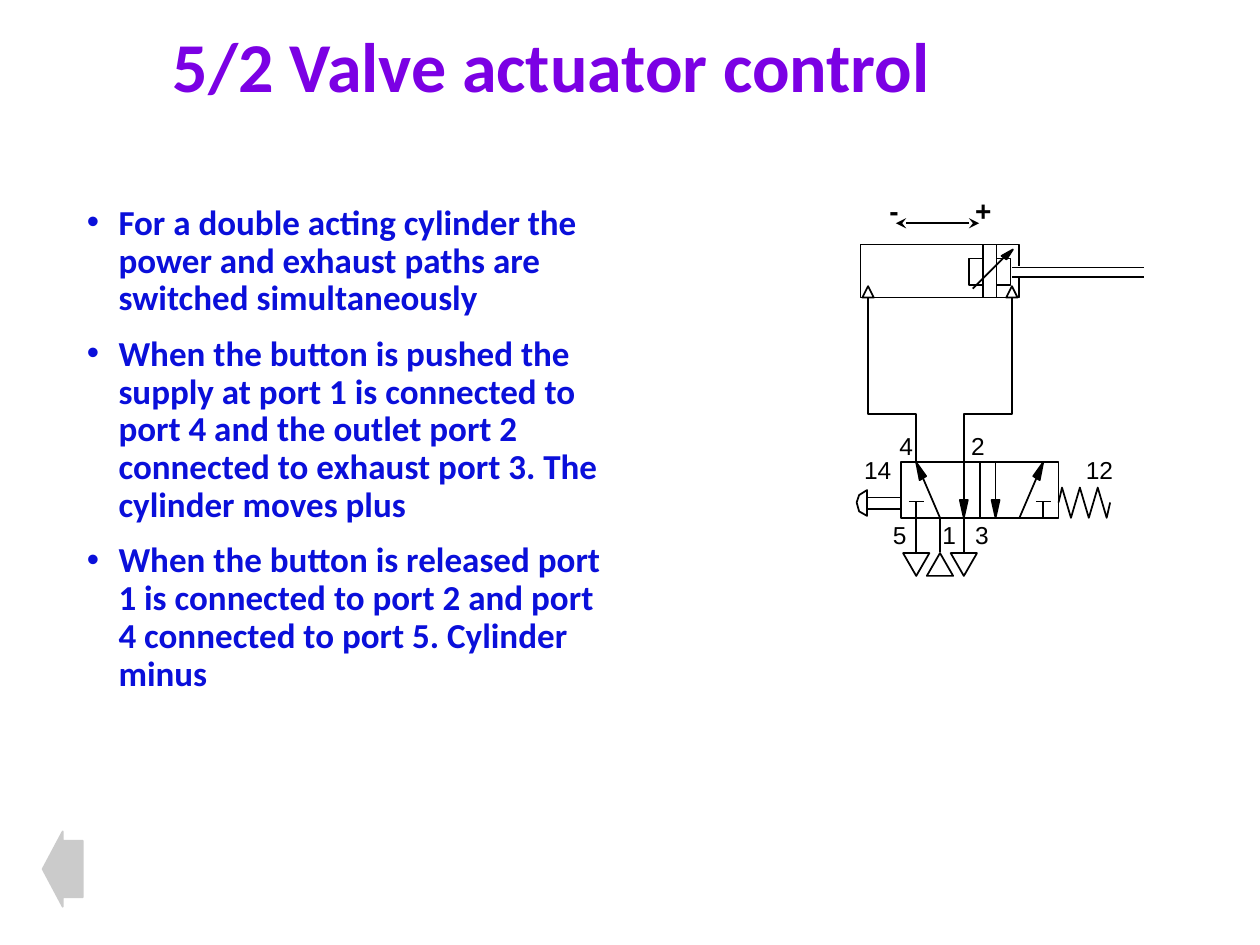
from lxml import etree
from pptx import Presentation
from pptx import util as u
from pptx.dml import color
from pptx.enum import shapes as kinds, text
from pptx.oxml import ns

COLORS = {"title": "7B00E4", "body": "0A0FDA", "ink": "000000", "back": "CBCBCB"}
TITLE = {"name": "Calibri", "size": u.Pt(40), "bold": True}
BODY = {"name": "Calibri", "size": u.Pt(20), "bold": True}
PORT = {"name": "Arial", "size": u.Pt(14), "bold": False}
SIGN = {"name": "Arial", "size": u.Pt(16), "bold": True}
POINTS = [
    "For a double acting cylinder the power and exhaust paths are switched simultaneously",
    "When the button is pushed the supply at port 1 is connected to port 4 and the outlet "
    "port 2 connected to exhaust port 3. The cylinder moves plus",
    "When the button is released port 1 is connected to port 2 and port 4 connected to "
    "port 5. Cylinder minus",
]


def rgb(key):
    """Return the named colour."""
    return color.RGBColor.from_string(COLORS[key])


def assign(target, values):
    """Set every attribute in values on the target."""
    for name, value in values.items():
        setattr(target, name, value)


def write(paragraph, words, font, ink):
    """Add one formatted run to a paragraph."""
    run = paragraph.add_run()
    run.text = words
    assign(run.font, font)
    run.font.color.rgb = rgb(ink)


def finish(outline, fill=None, ink="ink"):
    """Give a shape its line and fill and no shadow."""
    outline.shadow.inherit = False
    outline.line.color.rgb = rgb(ink)
    outline.line.width = u.Pt(1)
    if fill:
        outline.fill.solid()
        outline.fill.fore_color.rgb = rgb(fill)
    else:
        outline.fill.background()


def rule(canvas, box, start, end, arrows=()):
    """Draw a straight line between two points relative to the box."""
    ends = [u.Cm(box[i] + point[i]) for point in (start, end) for i in (0, 1)]
    line = canvas.add_connector(kinds.MSO_CONNECTOR.STRAIGHT, *ends)
    line.line.color.rgb = rgb("ink")
    line.line.width = u.Pt(1)
    properties = line.element.spPr
    for tag in arrows:
        etree.SubElement(properties.find(ns.qn("a:ln")), ns.qn(tag), type="stealth")
    etree.SubElement(properties, ns.qn("a:effectLst"))


def trace(canvas, box, points, closed=False, fill=None):
    """Draw an outline through points relative to the box."""
    route = [(u.Cm(box[0] + x), u.Cm(box[1] + y)) for x, y in points]
    builder = canvas.build_freeform(*route[0])
    builder.add_line_segments(route[1:], close=closed)
    finish(builder.convert_to_shape(), fill)


def triangle(canvas, box, center, top, width, height, turn=0):
    """Draw a port triangle centred on a line."""
    port = canvas.add_shape(
        kinds.MSO_SHAPE.ISOSCELES_TRIANGLE, u.Cm(box[0] + center - width / 2),
        u.Cm(box[1] + top), u.Cm(width), u.Cm(height))
    port.rotation = turn
    finish(port)


def label(canvas, box, words, left, top, width, height, font):
    """Place a short unwrapped label relative to the box."""
    frame = canvas.add_textbox(u.Cm(box[0] + left), u.Cm(box[1] + top),
                               u.Cm(width), u.Cm(height)).text_frame
    frame.word_wrap = False
    write(frame.paragraphs[0], words, font, "ink")


def heading(slide, box):
    """Place and format the title."""
    title = slide.shapes.title
    assign(title, dict(zip(("left", "top", "width", "height"), map(u.Cm, box))))
    assign(title.text_frame, {"vertical_anchor": text.MSO_ANCHOR.MIDDLE,
                              "auto_size": text.MSO_AUTO_SIZE.NONE, "word_wrap": True})
    line = title.text_frame.paragraphs[0]
    assign(line, {"alignment": text.PP_ALIGN.LEFT, "line_spacing": 0.9})
    write(line, "5/2 Valve actuator control", TITLE, "title")


def explanation(slide, box):
    """Write the bulleted explanation."""
    frame = slide.shapes.add_textbox(*map(u.Cm, box)).text_frame
    frame.word_wrap = True
    for index, words in enumerate(POINTS):
        point = frame.add_paragraph() if index else frame.paragraphs[0]
        layout = point._p.get_or_add_pPr()
        layout.set("marL", str(u.Cm(0.64)))
        layout.set("indent", str(u.Cm(-0.64)))
        tint = etree.SubElement(layout, ns.qn("a:buClr"))
        etree.SubElement(tint, ns.qn("a:srgbClr"), val=COLORS["body"])
        etree.SubElement(layout, ns.qn("a:buFont"), typeface="Arial")
        etree.SubElement(layout, ns.qn("a:buChar"), char="•")
        assign(point, {"line_spacing": 0.9, "space_before": u.Pt(10 if index else 0)})
        write(point, words, BODY, "body")


def cylinder(canvas, box):
    """Draw the double acting cylinder with piston, rod and ports."""
    width, height = box[2:]
    for x in (0.15, width - 0.15):
        rule(canvas, box, (x, height), (x, height + 0.35))
        triangle(canvas, box, x, 0.84, 0.23, 0.23)
    trace(canvas, box, [(width, 0.43), (width, 0), (0, 0), (0, height),
                        (width, height), (width, 0.66)])
    for y in (0.46, 0.66):
        rule(canvas, box, (width - 0.15, y), (5.71, y))
    for face, end in ((2.74, 3.02), (2.46, 2.18)):
        trace(canvas, box, [(face, 0.28), (end, 0.28), (end, 0.81), (face, 0.81)])
        rule(canvas, box, (face, 0), (face, height))
    rule(canvas, box, (2.26, 0.89), (3, 0.15))
    trace(canvas, box, [(2.84, 0.23), (2.94, 0.3), (3.07, 0.1)], True, "ink")


def pipes(canvas, box):
    """Draw the mirrored pipes from the cylinder to the valve."""
    width, height = box[2:]
    run = [(0, 0), (0, 2.34), (0.97, 2.34), (0.97, height)]
    trace(canvas, box, run)
    trace(canvas, box, [(width - x, y) for x, y in run])


def valve(canvas, box):
    """Draw the 5/2 valve with button, spring, exhausts and port numbers."""
    width, height = box[2:]
    ports = [0.31 + 0.48 * i for i in range(3)]
    trace(canvas, box, [(0, 0), (0, height), (width, height), (width, 0)], True)
    rule(canvas, box, (width / 2, 0), (width / 2, height))
    for x, turn in zip(ports, (180, 0, 180)):
        rule(canvas, box, (x, height), (x, 1.8))
        triangle(canvas, box, x, 1.83, 0.53, 0.46, turn)

    for place in (lambda x: x, lambda x: width - x):
        blocked, supply, through = map(place, ports)
        rule(canvas, box, (blocked, 0.79), (blocked, height))
        rule(canvas, box, (blocked - 0.15, 0.79), (blocked + 0.15, 0.79))
        rule(canvas, box, (supply, height), (blocked, 0))
        rule(canvas, box, (through, 0), (through, height))
        trace(canvas, box, [(through, height), (through - 0.08, 0.76),
                            (through + 0.08, 0.76)], True, "ink")
        trace(canvas, box, [(blocked, 0), (place(0.38), 0.36), (place(0.51), 0.28)],
              True, "ink")

    coils = [(width + 0.07 + 0.18 * i, (0.51, height)[i % 2]) for i in range(6)]
    trace(canvas, box, [(width, 0.81), *coils, (4.22, 0.81)])

    trace(canvas, box, [(-0.68, 0.56), (-0.84, 0.66), (-0.89, 0.81), (-0.84, 0.99),
                        (-0.68, 1.08)], True)
    for y in (0.71, 0.94):
        rule(canvas, box, (-0.68, y), (0, y))

    for number, left, top in (("1", 0.59, 1.04), ("2", 1.17, -0.76), ("4", -0.28, -0.76),
                              ("5", -0.41, 1.04), ("3", 1.25, 1.04),
                              ("14", -0.99, -0.28), ("12", 3.48, -0.28)):
        label(canvas, box, number, left, top, 0.51 + 0.28 * len(number), 0.84, PORT)


def motion(canvas, box):
    """Draw the plus and minus directions of travel."""
    rule(canvas, box, (2.06, 0.72), (0.38, 0.72), ("a:headEnd", "a:tailEnd"))
    label(canvas, box, "+", 1.73, 0, 0.84, box[3], SIGN)
    label(canvas, box, "-", 0, 0, 0.71, box[3], SIGN)


def back_arrow(slide, box):
    """Draw the grey arrow pointing back."""
    arrow = slide.shapes.add_shape(kinds.MSO_SHAPE.LEFT_ARROW, *map(u.Cm, box))
    arrow.adjustments[0] = 0.75
    arrow.adjustments[1] = 0.5
    finish(arrow, "back", "back")


def main():
    """Build and save the slide."""
    deck = Presentation()
    assign(deck, {"slide_width": u.Cm(25.4), "slide_height": u.Cm(19.05)})
    slide = deck.slides.add_slide(deck.slide_layouts[5])
    heading(slide, (3.23, 0.56, 18.97, 1.68))
    explanation(slide, (1.5, 4.01, 11, 12.5))
    circuit = slide.shapes.add_group_shape().shapes
    cylinder(circuit, (17.35, 4.93, 3.2, 1.07))
    valve(circuit, (18.16, 9.32, 3.18, 1.12))
    pipes(circuit, (17.5, 6, 2.9, 3.3))
    motion(slide.shapes.add_group_shape().shapes, (17.68, 3.78, 2.57, 0.94))
    back_arrow(slide, (0.86, 16.76, 0.81, 1.52))
    deck.save("out.pptx")


if __name__ == "__main__":
    main()
